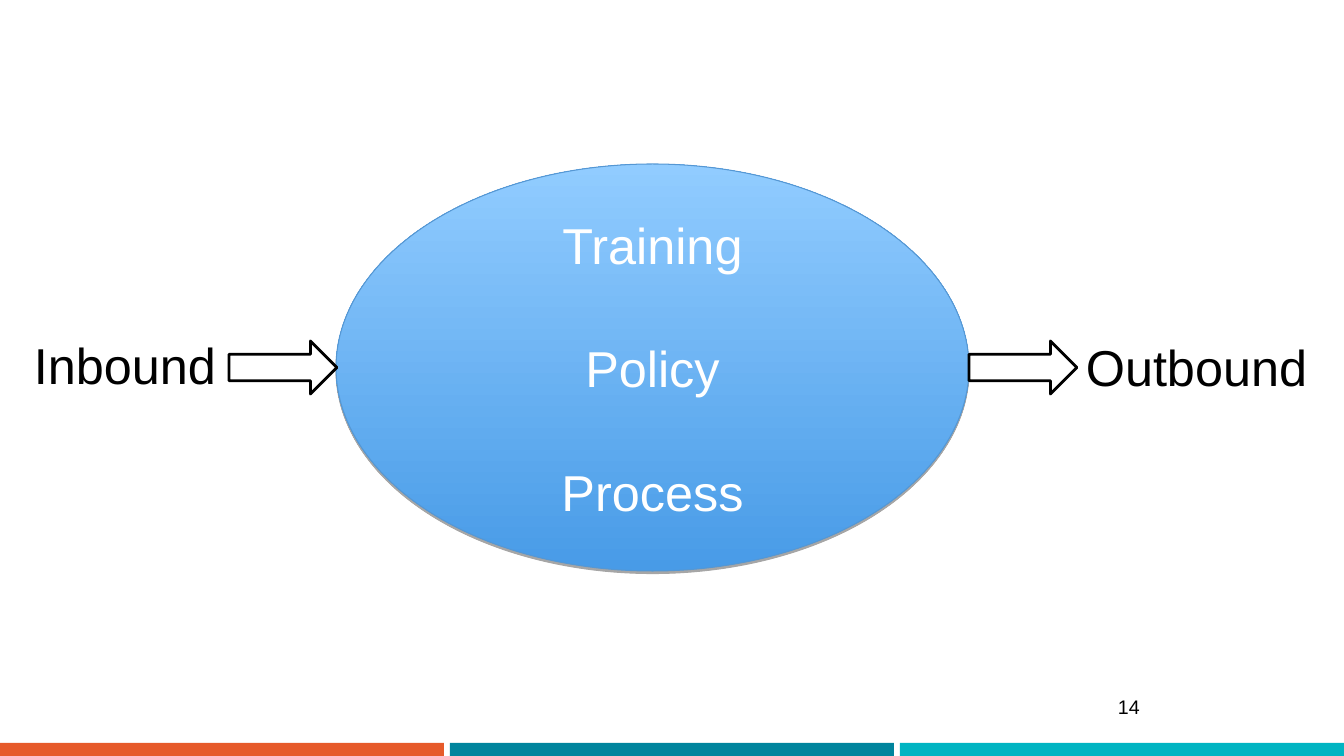
"""Build the inbound-to-outbound flow slide."""
from dataclasses import dataclass

from lxml import etree
from pptx import Presentation
from pptx.dml.color import RGBColor
from pptx.enum import shapes, text
from pptx.oxml import ns
from pptx.shapes.autoshape import Shape
from pptx.slide import Slide
from pptx.util import Emu, Pt

EMU_PER_PX = 914400 / 100.8
BLACK = RGBColor(0x00, 0x00, 0x00)
WHITE = RGBColor(0xFF, 0xFF, 0xFF)
ORANGE = RGBColor(0xE6, 0x5A, 0x2A)
TEAL = RGBColor(0x00, 0x84, 0x9D)
TURQUOISE = RGBColor(0x00, 0xB4, 0xC2)
DEEP_BLUE = RGBColor(0x48, 0x9B, 0xE7)
LIGHT_BLUE = RGBColor(0x91, 0xCC, 0xFF)
OUTLINE_BLUE = RGBColor(0x55, 0x97, 0xD3)
BAR_WIDTH, BAR_PITCH = 444, 450
ARROW_LEFTS = (229, 969)
TOPICS = ("Training", "Policy", "Process")


@dataclass(frozen=True)
class Box:
    """A rectangle on the slide in px."""

    left: int
    top: int
    width: int
    height: int

    def emu(self) -> tuple[Emu, Emu, Emu, Emu]:
        """Return left, top, width and height in EMU."""
        return px(self.left), px(self.top), px(self.width), px(self.height)


@dataclass(frozen=True)
class Label:
    """A one-line text box."""

    wording: str
    box: Box
    size: int = 36
    anchor: text.MSO_ANCHOR = text.MSO_ANCHOR.TOP


LABELS = (
    Label("14", Box(1108, 687, 144, 40), 14, text.MSO_ANCHOR.MIDDLE),
    Label("Inbound", Box(24, 329, 205, 72)),
    Label("Outbound", Box(1076, 331, 244, 72)),
)


def px(length: int) -> Emu:
    """Turn px into EMU."""
    return Emu(round(length * EMU_PER_PX))


def apply_format(target: object, values: dict[str, object]) -> None:
    """Set each format value on the target."""
    for name, value in values.items():
        setattr(target, name, value)


def add_solid(slide: Slide, kind: shapes.MSO_SHAPE, box: Box, fill: RGBColor) -> Shape:
    """Add a flat shape without an outline."""
    shape = slide.shapes.add_shape(kind, *box.emu())
    shape.shadow.inherit = False
    shape.fill.solid()
    shape.fill.fore_color.rgb = fill
    shape.line.fill.background()
    return shape


def outline(shape: Shape, color: RGBColor, width: float) -> None:
    """Give the shape a solid outline."""
    shape.line.color.rgb = color
    shape.line.width = Pt(width)


def write(shape: Shape, lines: tuple[str, ...], size: int, color: RGBColor,
          alignment: text.PP_ALIGN, anchor: text.MSO_ANCHOR, gap: int = 0) -> None:
    """Write one paragraph per line with a gap in points between them."""
    frame = shape.text_frame
    apply_format(frame, {"text": "\n".join(lines), "word_wrap": True,
                         "vertical_anchor": anchor})
    for index, paragraph in enumerate(frame.paragraphs):
        apply_format(paragraph, {"alignment": alignment,
                                 "space_before": Pt(gap if index else 0)})
        apply_format(paragraph.font, {"name": "Arial", "size": Pt(size)})
        paragraph.font.color.rgb = color


def add_drop_shadow(shape: Shape) -> None:
    """Put a thin translucent shadow under the shape."""
    effects = shape._element.spPr.find(ns.qn("a:effectLst"))
    shadow = etree.SubElement(effects, ns.qn("a:outerShdw"), dist=str(Pt(1.8)),
                              dir="5400000", rotWithShape="0")
    color = etree.SubElement(shadow, ns.qn("a:srgbClr"), val=str(BLACK))
    etree.SubElement(color, ns.qn("a:alpha"), val="35000")


def add_core(slide: Slide) -> None:
    """Add the gradient ellipse with its topics."""
    ellipse = add_solid(slide, shapes.MSO_SHAPE.OVAL, Box(336, 164, 633, 407), DEEP_BLUE)
    ellipse.fill.gradient()
    ellipse.fill.gradient_angle = 90
    for stop, color in zip(ellipse.fill.gradient_stops, (DEEP_BLUE, LIGHT_BLUE)):
        stop.color.rgb = color
    outline(ellipse, OUTLINE_BLUE, 0.75)
    add_drop_shadow(ellipse)
    write(ellipse, TOPICS, 36, WHITE, text.PP_ALIGN.CENTER, text.MSO_ANCHOR.MIDDLE, gap=45)


def add_label(slide: Slide, label: Label) -> None:
    """Add a left-aligned text box."""
    shape = slide.shapes.add_textbox(*label.box.emu())
    write(shape, (label.wording,), label.size, BLACK, text.PP_ALIGN.LEFT, label.anchor)


def main() -> None:
    """Build and save the slide."""
    presentation = Presentation()
    apply_format(presentation, {"slide_width": px(1344), "slide_height": px(756)})
    slide = presentation.slides.add_slide(presentation.slide_layouts[6])
    for index, color in enumerate((ORANGE, TEAL, TURQUOISE)):
        bar = Box(index * BAR_PITCH, 743, BAR_WIDTH, 13)
        add_solid(slide, shapes.MSO_SHAPE.RECTANGLE, bar, color)
    add_core(slide)
    for label in LABELS:
        add_label(slide, label)
    for left in ARROW_LEFTS:
        arrow = add_solid(slide, shapes.MSO_SHAPE.RIGHT_ARROW, Box(left, 341, 108, 53), WHITE)
        outline(arrow, BLACK, 2)
    presentation.save("out.pptx")


if __name__ == "__main__":
    main()
